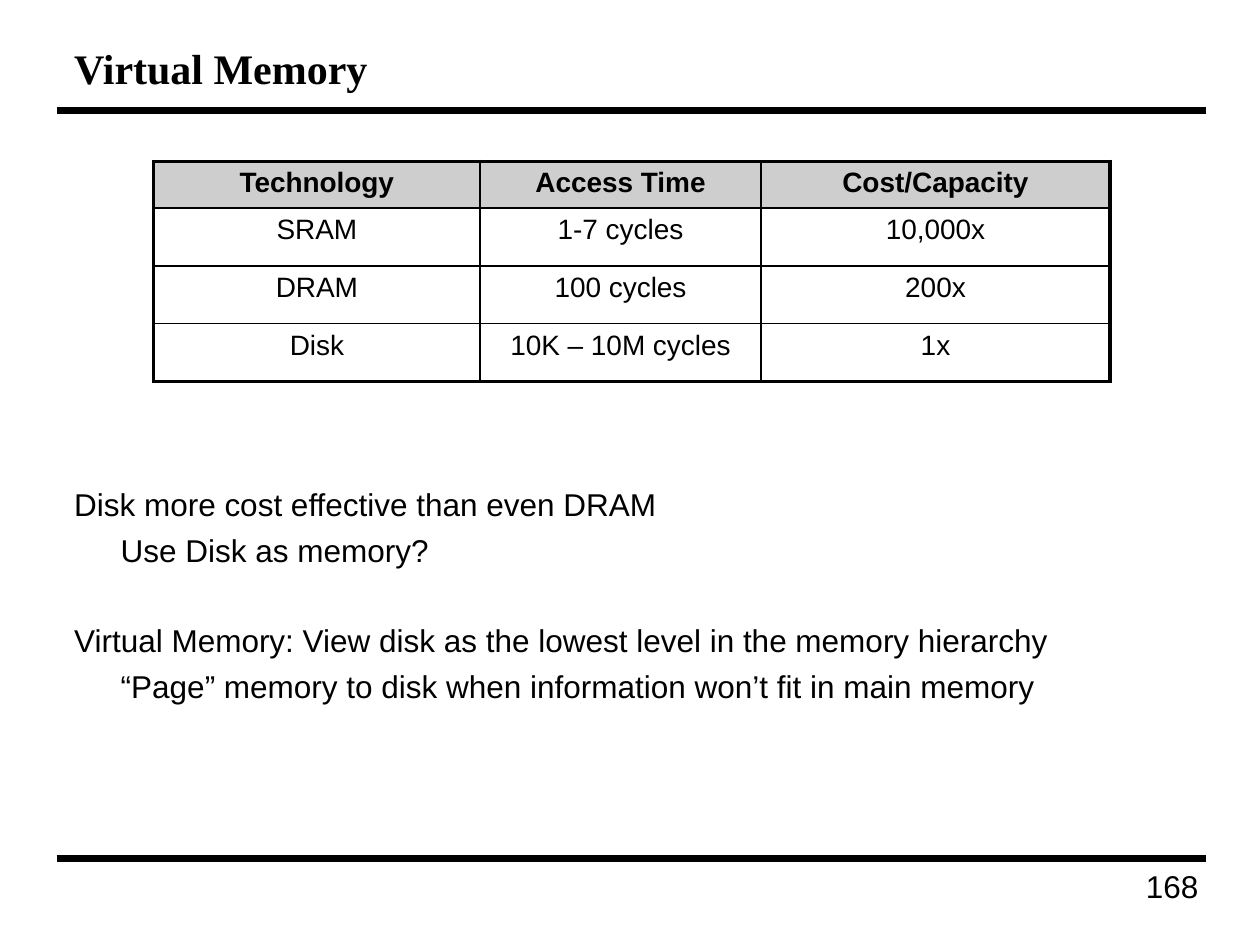
from lxml import etree
from pptx import Presentation
from pptx import util as u
from pptx.dml.color import RGBColor
from pptx.enum import shapes, text
from pptx.oxml.ns import qn

# Content
TITLE = "Virtual Memory"
PAGE_NUMBER = "168"
TABLE_ROWS = [
    ("Technology", "Access Time", "Cost/Capacity"),
    ("SRAM", "1-7 cycles", "10,000x"),
    ("DRAM", "100 cycles", "200x"),
    ("Disk", "10K – 10M cycles", "1x"),
]
# text, left margin in inches, space before in points
BODY = [
    ("Disk more cost effective than even DRAM", 0, 0),
    ("Use Disk as memory?", 0.37, 4.6),
    ("Virtual Memory: View disk as the lowest level in the memory hierarchy", 0, 29.9),
    ("“Page” memory to disk when information won’t fit in main memory", 0.37, 4.6),
]

# Layout and style
COLUMN_WIDTHS = [2.59, 2.23, 2.77]
ROW_HEIGHTS = [0.37, 0.46, 0.46, 0.46]
RULE_LEFT, RULE_RIGHT = 0.45, 9.57
RULE_TOPS = [0.88, 6.81]
BLACK, WHITE, HEADER_GRAY = "000000", "FFFFFF", "CECECE"
INNER_BORDER, OUTER_BORDER = 1, 2.25


def color(hex_value):
    return RGBColor.from_string(hex_value)


def write(paragraph, content, size=18, font="Arial", bold=False,
          align=text.PP_ALIGN.LEFT, margin=0, before=0):
    paragraph.text = content
    paragraph.alignment = align
    paragraph.space_before = u.Pt(before)
    if margin:
        paragraph._p.get_or_add_pPr().set("marL", str(u.Inches(margin)))
    run_font = paragraph.runs[0].font
    run_font.size = u.Pt(size)
    run_font.name = font
    run_font.bold = bold
    run_font.color.rgb = color(BLACK)


def add_box(slide, left, top, width, height, anchor=text.MSO_ANCHOR.TOP):
    shape = slide.shapes.add_textbox(*map(u.Inches, (left, top, width, height)))
    shape.text_frame.word_wrap = True
    shape.text_frame.vertical_anchor = anchor
    return shape.text_frame


def add_rule(slide, top):
    line = slide.shapes.add_connector(
        shapes.MSO_CONNECTOR.STRAIGHT, u.Inches(RULE_LEFT), u.Inches(top),
        u.Inches(RULE_RIGHT), u.Inches(top))
    line.line.color.rgb = color(BLACK)
    line.line.width = u.Pt(4)
    etree.SubElement(line._element.spPr, qn("a:effectLst"))


def set_borders(cell, widths):
    properties = cell._tc.get_or_add_tcPr()
    for index, (side, width) in enumerate(widths.items()):
        border = etree.Element(qn(f"a:ln{side}"), w=str(u.Pt(width)))
        fill = etree.SubElement(border, qn("a:solidFill"))
        etree.SubElement(fill, qn("a:srgbClr"), val=BLACK)
        properties.insert(index, border)


def add_technology_table(slide):
    row_count, column_count = len(TABLE_ROWS), len(COLUMN_WIDTHS)
    table = slide.shapes.add_table(
        row_count, column_count, u.Inches(1.22), u.Inches(1.28),
        u.Inches(sum(COLUMN_WIDTHS)), u.Inches(sum(ROW_HEIGHTS))).table
    for column, width in zip(table.columns, COLUMN_WIDTHS):
        column.width = u.Inches(width)
    for row, height in zip(table.rows, ROW_HEIGHTS):
        row.height = u.Inches(height)

    for r, row_texts in enumerate(TABLE_ROWS):
        for c, content in enumerate(row_texts):
            cell = table.cell(r, c)
            write(cell.text_frame.paragraphs[0], content, size=16,
                  bold=r == 0, align=text.PP_ALIGN.CENTER)
            cell.fill.solid()
            cell.fill.fore_color.rgb = color(HEADER_GRAY if r == 0 else WHITE)
            on_edge = {"L": c == 0, "R": c == column_count - 1,
                       "T": r == 0, "B": r == row_count - 1}
            set_borders(cell, {side: OUTER_BORDER if outer else INNER_BORDER
                               for side, outer in on_edge.items()})


def main():
    presentation = Presentation()
    presentation.slide_width = u.Inches(10)
    presentation.slide_height = u.Inches(7.5)
    slide = presentation.slides.add_slide(presentation.slide_layouts[6])

    # Frame: rules, page number and title
    for top in RULE_TOPS:
        add_rule(slide, top)
    number = add_box(slide, 7.56, 6.83, 2.05, 0.49)
    write(number.paragraphs[0], PAGE_NUMBER, align=text.PP_ALIGN.RIGHT)
    title = add_box(slide, 0.49, 0.25, 9.04, 0.58, text.MSO_ANCHOR.MIDDLE)
    write(title.paragraphs[0], TITLE, size=24, font="Times New Roman", bold=True)

    # Body text below the table
    body = add_box(slide, 0.49, 3.8, 9.04, 2.95)
    for index, (content, margin, before) in enumerate(BODY):
        paragraph = body.add_paragraph() if index else body.paragraphs[0]
        write(paragraph, content, margin=margin, before=before)

    add_technology_table(slide)
    presentation.save("out.pptx")


if __name__ == "__main__":
    main()
